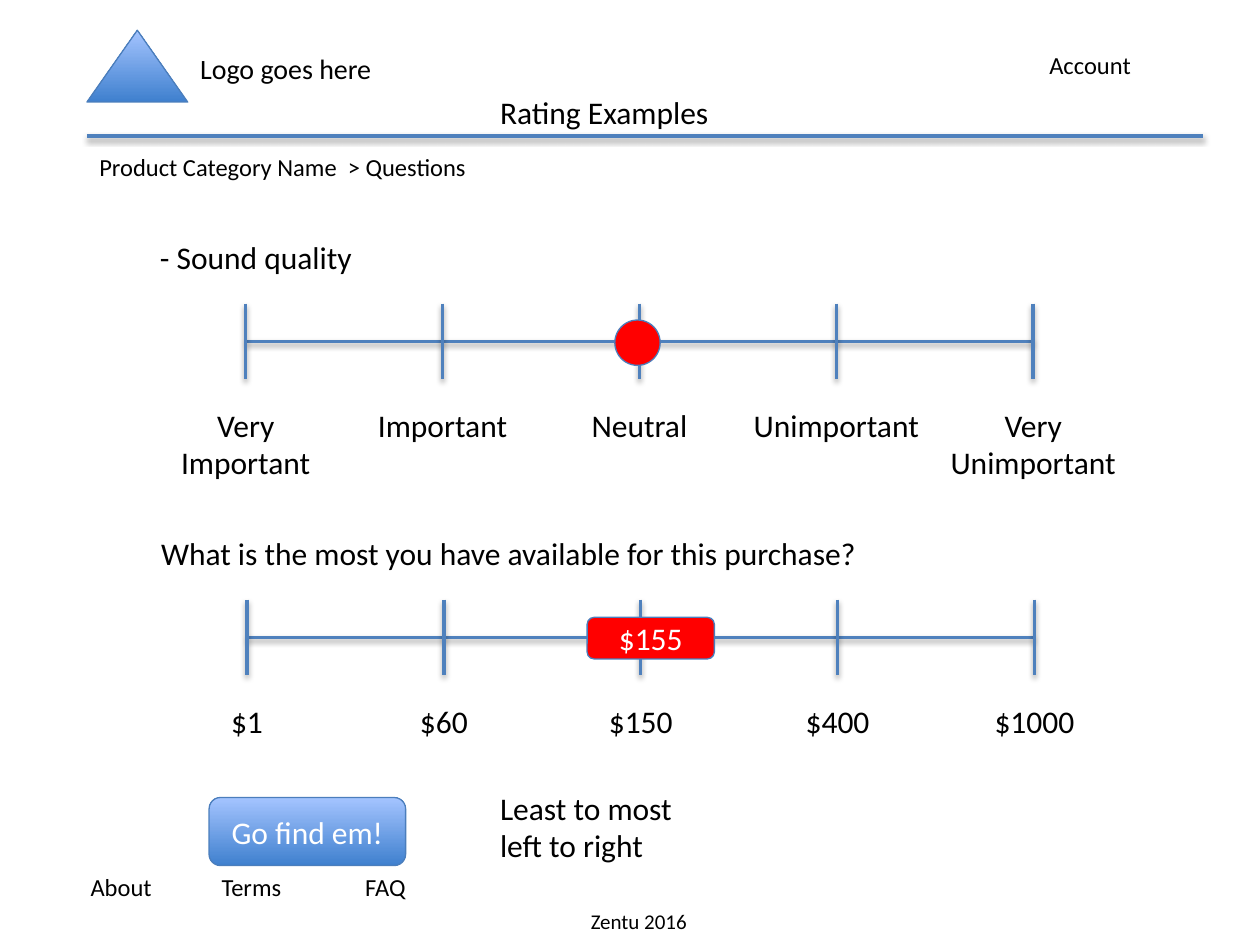
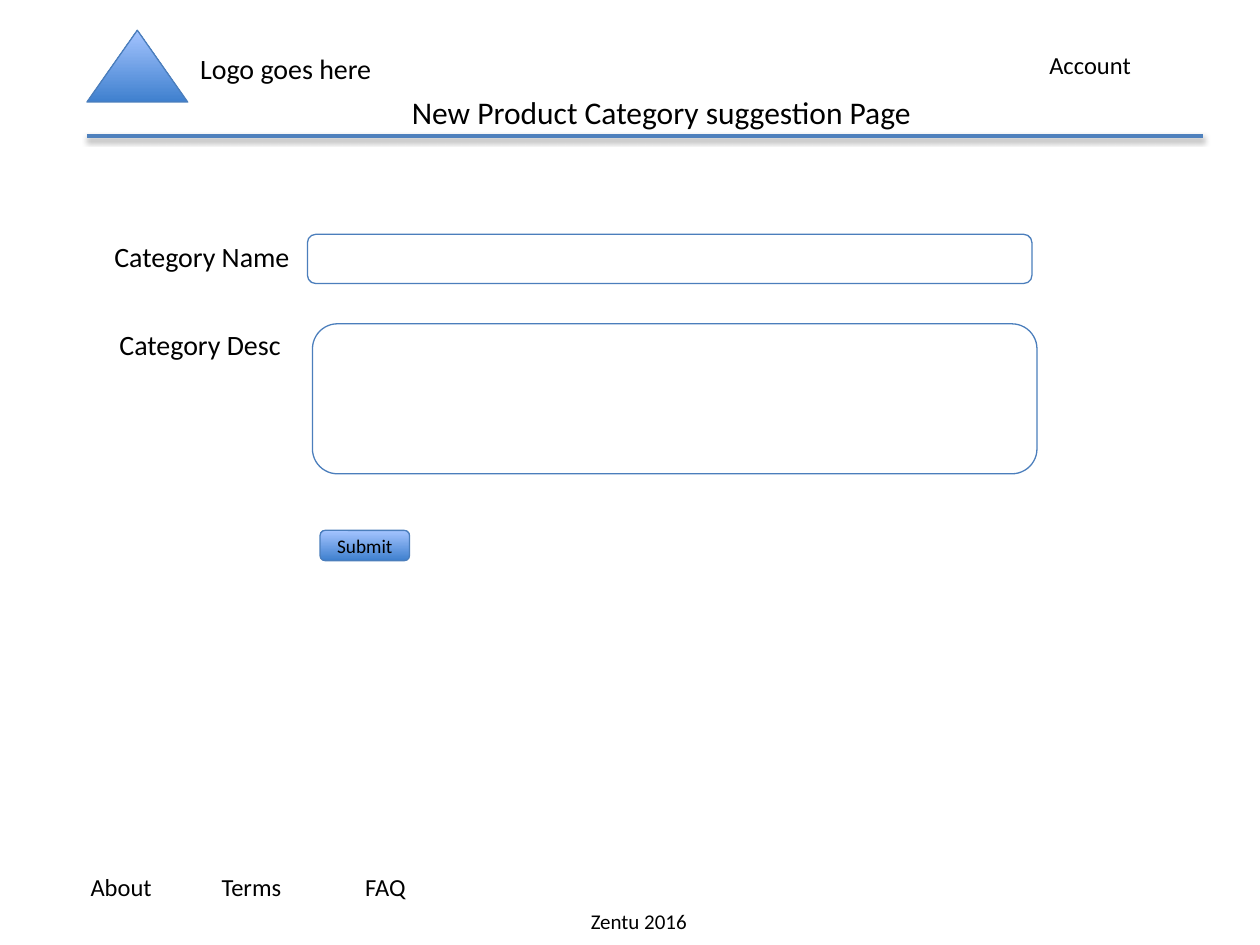
from lxml import etree
from pptx import Presentation
from pptx.dml.color import RGBColor
from pptx.enum.shapes import MSO_CONNECTOR, MSO_SHAPE
from pptx.enum.text import MSO_ANCHOR, MSO_AUTO_SIZE, PP_ALIGN
from pptx.oxml import parse_xml
from pptx.util import Inches, Pt

LEFT, MID = PP_ALIGN.LEFT, PP_ALIGN.CENTER
TRI, OVAL, ROUND = MSO_SHAPE.ISOSCELES_TRIANGLE, MSO_SHAPE.OVAL, MSO_SHAPE.ROUNDED_RECTANGLE

FONT = "Calibri"
BLACK, WHITE, RED = "000000", "FFFFFF", "FF0000"
RULE, EDGE = "4F81BD", "4B7EBC"
BLUES = ("3F80CE", "A4C4FF")  # bottom, top
DRAW = "http://schemas.openxmlformats.org/drawingml/2006/main"
SHADE = f"""<a:effectLst xmlns:a="{DRAW}">
  <a:outerShdw blurRad="40000" dist="23000" dir="5400000" rotWithShape="0">
    <a:srgbClr val="000000"><a:alpha val="35000"/></a:srgbClr>
  </a:outerShdw>
</a:effectLst>"""

# Text, left, top, width, size
FRAME = [
    ("Account", 8.23, 0.35, 1.04, 14),
    ("About", 0.62, 6.87, 0.88, 14),
    ("Terms", 1.66, 6.87, 0.88, 14),
    ("FAQ", 2.8, 6.87, 0.88, 14),
    ("Logo goes here", 1.49, 0.36, 1.58, 16),
    ("Zentu 2016", 4.59, 7.16, 1.65, 12),
]

# Heading, first tick, axis height, labels
SCALES = [
    ("- Sound quality", 1.95, 2.71,
     ["Very Important", "Important", "Neutral", "Unimportant", "Very Unimportant"]),
    ("What is the most you have available for this purchase?", 1.96, 5.06,
     ["$1", "$60", "$150", "$400", "$1000"]),
]
STEP, TICK = 6.25 / 4, 0.3

# Label, label left, label top, box left, box top, box height
FIELDS = [
    ("Category Name", 0.81, 1.85, 2.44, 1.86, 0.39),
    ("Category Desc", 0.85, 2.55, 2.48, 2.57, 1.19),
]
FIELD_W = 5.75


def color(code):
    return RGBColor.from_string(code)


def write(frame, lines, size, tint, align):
    for i, line in enumerate(lines):
        para = frame.paragraphs[0] if i == 0 else frame.add_paragraph()
        para.alignment = align
        run = para.add_run()
        run.text = line
        run.font.name, run.font.size = FONT, Pt(size)
        run.font.color.rgb = color(tint)


def text(slide, words, x, y, w, size=18, align=LEFT):
    lines = words.split("\n")
    high = len(lines) * size / 60 + 0.1
    box = slide.shapes.add_textbox(Inches(x), Inches(y), Inches(w), Inches(high))
    frame = box.text_frame
    frame.word_wrap = True
    frame.auto_size = MSO_AUTO_SIZE.SHAPE_TO_FIT_TEXT
    write(frame, lines, size, BLACK, align)


def shape(slide, kind, x, y, w, h, fill=None, words=None, size=18, tint=WHITE):
    """Outlined shape; fill is a hex colour, a pair for a gradient, or None."""
    item = slide.shapes.add_shape(kind, Inches(x), Inches(y), Inches(w), Inches(h))
    item.shadow.inherit = False
    item.line.color.rgb = color(EDGE)
    item.line.width = Pt(0.75)
    if fill is None:
        item.fill.background()
    elif isinstance(fill, str):
        item.fill.solid()
        item.fill.fore_color.rgb = color(fill)
    else:
        item.fill.gradient()
        item.fill.gradient_angle = 90
        for stop, code in zip(item.fill.gradient_stops, fill):
            stop.color.rgb = color(code)
    if words:
        item.text_frame.vertical_anchor = MSO_ANCHOR.MIDDLE
        write(item.text_frame, [words], size, tint, MID)


def rule(slide, x1, y1, x2, y2):
    line = slide.shapes.add_connector(
        MSO_CONNECTOR.STRAIGHT, Inches(x1), Inches(y1), Inches(x2), Inches(y2))
    line.line.color.rgb = color(RULE)
    line.line.width = Pt(2)
    line._element.spPr.append(parse_xml(etree.tostring(etree.fromstring(SHADE))))


def page(deck, title, x, w, align):
    """Blank slide with the shared header and footer."""
    slide = deck.slides.add_slide(deck.slide_layouts[6])
    for part in FRAME:
        text(slide, *part)
    shape(slide, TRI, 0.69, 0.24, 0.8, 0.57, BLUES)
    rule(slide, 0.69, 1.08, 9.55, 1.08)
    text(slide, title, x, 0.69, w, align=align)
    return slide


def scale(slide, head, x, y, labels):
    text(slide, head, x - 0.78, y - 0.87, 7.25)
    rule(slide, x, y, x + STEP * (len(labels) - 1), y)
    for i, label in enumerate(labels):
        mid = x + i * STEP
        rule(slide, mid, y - TICK, mid, y + TICK)
        text(slide, label, mid - STEP / 2, y + 0.46, STEP, align=MID)


def rating(deck):
    slide = page(deck, "Rating Examples", 3.87, 2.22, LEFT)
    text(slide, "Product Category Name  > Questions", 0.69, 1.16, 5.64, 14)
    for item in SCALES:
        scale(slide, *item)
    shape(slide, OVAL, 4.88, 2.54, 0.36, 0.36, RED)
    shape(slide, ROUND, 4.66, 4.9, 1.01, 0.33, RED, "$155")
    shape(slide, ROUND, 1.66, 6.33, 1.56, 0.54, BLUES, "Go find em!")
    text(slide, "Least to most\nleft to right", 3.87, 6.21, 5.21)


def suggest(deck):
    slide = page(deck, "New Product Category suggestion Page", 2.8, 4.9, MID)
    for label, x, y, left, top, high in FIELDS:
        text(slide, label, x, y, left - x, 16)
        shape(slide, ROUND, left, top, FIELD_W, high)
    shape(slide, ROUND, 2.54, 4.21, 0.71, 0.24, BLUES, "Submit", 11, BLACK)


def main():
    deck = Presentation()
    deck.slide_width, deck.slide_height = Inches(10), Inches(7.5)
    rating(deck)
    suggest(deck)
    deck.save("out.pptx")


if __name__ == "__main__":
    main()
